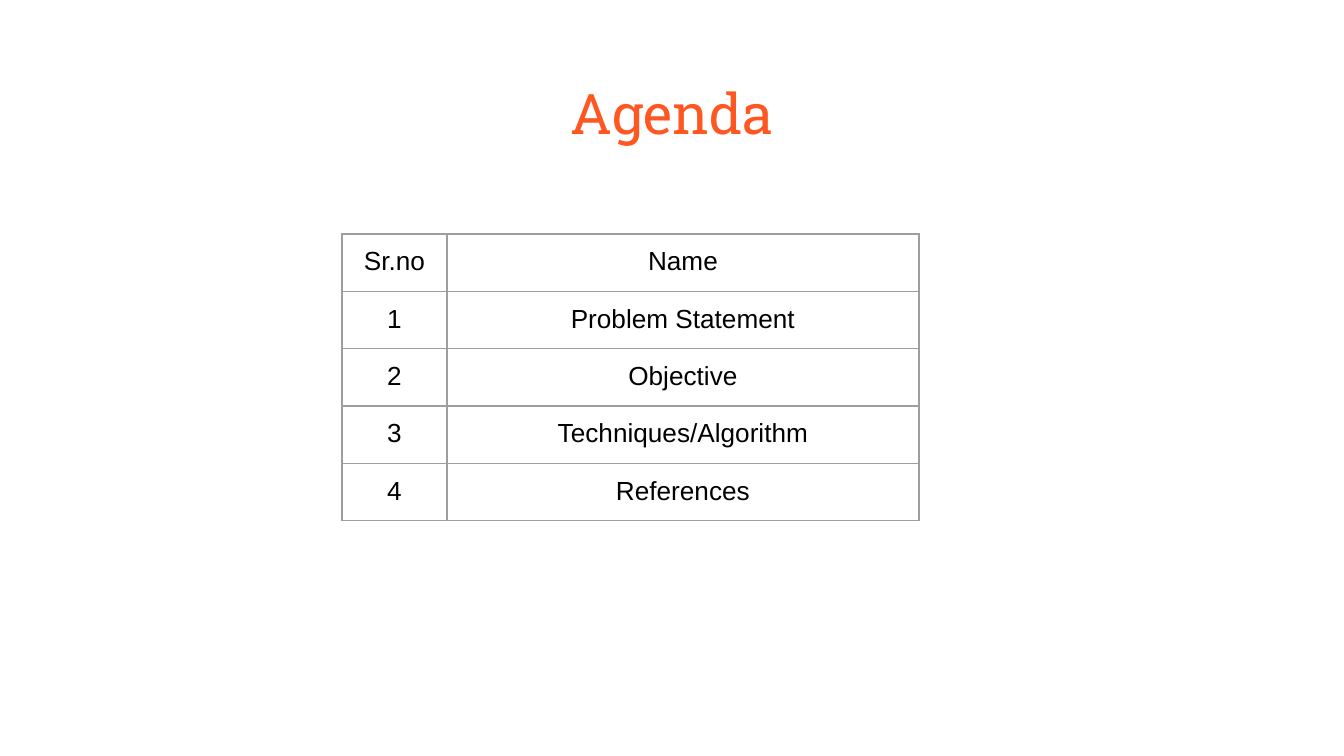
import pptx
import pptx.dml.color
import pptx.enum.text
import pptx.oxml
import pptx.oxml.ns
import pptx.util

PX = 914400 / 134.4
COLORS = {"title": "FF5722", "text": "000000", "border": "9E9E9E", "background": "FFFFFF"}
INSET = 13
ROW_HEIGHT = 56
COLUMN_WIDTHS = [105, 472]
AGENDA = ["Problem Statement", "Objective", "Techniques/Algorithm", "References"]


def px(n):
    return pptx.util.Emu(round(n * PX))


def write(tf, text, font, size, color):
    """Fill a text frame with one centred line."""
    p = tf.paragraphs[0]
    p.alignment = pptx.enum.text.PP_ALIGN.CENTER
    r = p.add_run()
    r.text = text
    for name, value in {"name": font, "size": pptx.util.Pt(size)}.items():
        setattr(r.font, name, value)
    r.font.color.rgb = pptx.dml.color.RGBColor.from_string(COLORS[color])


prs = pptx.Presentation()
prs.slide_width, prs.slide_height = px(1344), px(756)
s = prs.slides.add_slide(prs.slide_layouts[6])
s.background.fill.solid()
s.background.fill.fore_color.rgb = pptx.dml.color.RGBColor.from_string(COLORS["background"])

margins = {f"margin_{side}": px(INSET) for side in ("left", "right", "top", "bottom")}

# Title
tf = s.shapes.add_textbox(px(46), px(66), px(1252), px(85)).text_frame
for name, value in {**margins, "word_wrap": True}.items():
    setattr(tf, name, value)
write(tf, "Agenda", "Roboto Slab", 30, "title")

# Agenda table
rows = [("Sr.no", "Name")] + [(str(n), topic) for n, topic in enumerate(AGENDA, 1)]
table = s.shapes.add_table(
    len(rows), len(COLUMN_WIDTHS), px(342), px(234),
    px(sum(COLUMN_WIDTHS)), px(ROW_HEIGHT * len(rows)),
).table
table.first_row = table.horz_banding = False
for column, width in zip(table.columns, COLUMN_WIDTHS):
    column.width = px(width)
for row, values in zip(table.rows, rows):
    row.height = px(ROW_HEIGHT)
    for cell, value in zip(row.cells, values):
        for name, margin in margins.items():
            setattr(cell, name, margin)
        write(cell.text_frame, value, "Arial", 14, "text")
        cell.fill.background()
        tcPr = cell._tc.get_or_add_tcPr()
        for i, edge in enumerate(("lnL", "lnR", "lnT", "lnB")):
            tcPr.insert(i, pptx.oxml.parse_xml(
                f'<a:{edge} {pptx.oxml.ns.nsdecls("a")} w="{pptx.util.Pt(0.75)}">'
                f'<a:solidFill><a:srgbClr val="{COLORS["border"]}"/></a:solidFill>'
                f'</a:{edge}>'))

prs.save("out.pptx")
